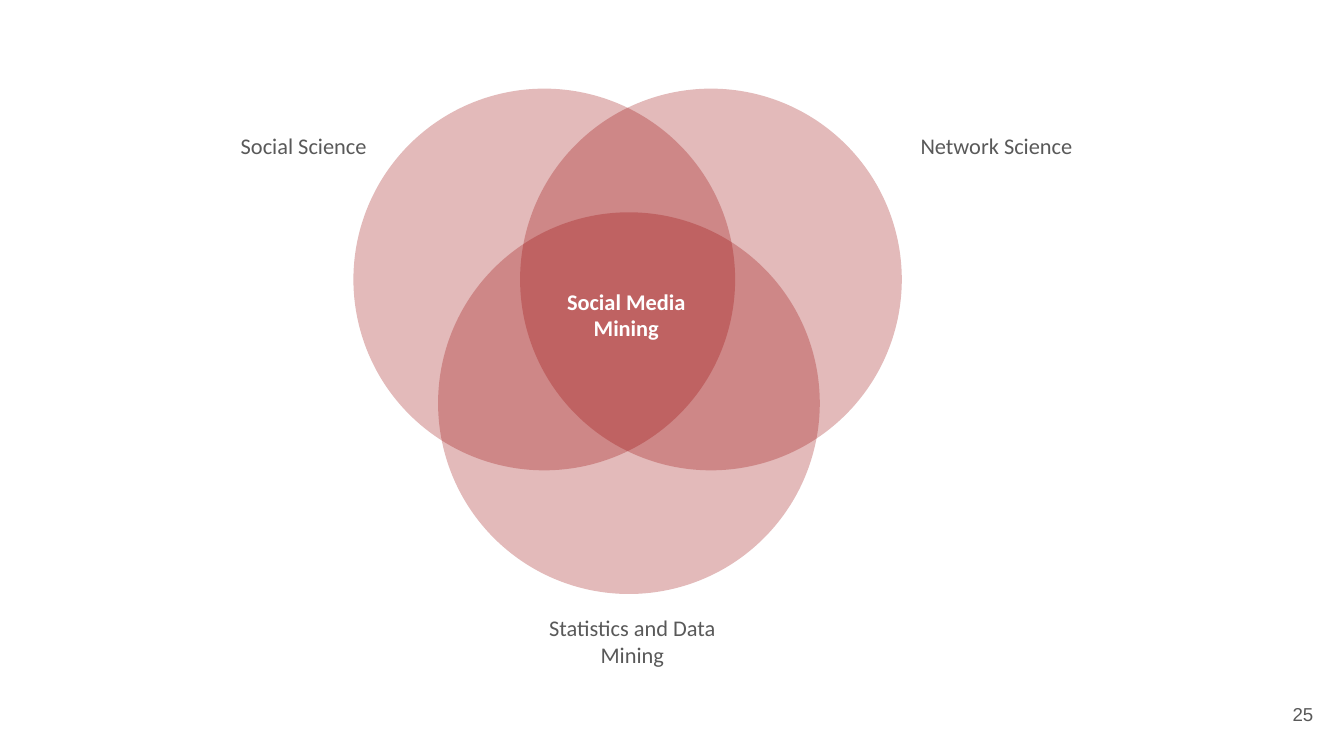
import pptx
import pptx.util
from lxml import etree
from pptx.dml.color import RGBColor
from pptx.enum.shapes import MSO_SHAPE
from pptx.enum.text import MSO_ANCHOR, PP_ALIGN
from pptx.oxml.ns import qn
from pptx.util import Inches

COLORS = {"circle": "980000", "label": "595959", "center": "FFFFFF"}
CIRCLE_SIZE = 2.84
CIRCLE_OPACITY = 27  # percent

deck = pptx.Presentation()
deck.slide_width = Inches(10)
deck.slide_height = Inches(10) * 9 // 16
page = deck.slides.add_slide(deck.slide_layouts[6])


def add_label(text, left, top, width, height, color="label", size=12,
              font="Calibri", bold=False, align=PP_ALIGN.CENTER):
    box = page.shapes.add_textbox(
        Inches(left), Inches(top), Inches(width), Inches(height))
    frame = box.text_frame
    frame.word_wrap = True
    frame.vertical_anchor = MSO_ANCHOR.MIDDLE
    frame.margin_left = frame.margin_right = Inches(0.1)
    frame.margin_top = frame.margin_bottom = Inches(0.1)
    para = frame.paragraphs[0]
    para.text = text
    para.alignment = align
    para.font.name = font
    para.font.size = pptx.util.Pt(size)
    para.font.bold = bold
    para.font.color.rgb = RGBColor.from_string(COLORS[color])


# Three overlapping translucent circles
for left, top in [(2.63, 0.66), (3.87, 0.66), (3.26, 1.58)]:
    circle = page.shapes.add_shape(
        MSO_SHAPE.OVAL, Inches(left), Inches(top),
        Inches(CIRCLE_SIZE), Inches(CIRCLE_SIZE))
    circle.shadow.inherit = False
    circle.line.fill.background()
    circle.fill.solid()
    circle.fill.fore_color.rgb = RGBColor.from_string(COLORS["circle"])
    fill_color = circle.element.spPr.find(".//" + qn("a:srgbClr"))
    etree.SubElement(fill_color, qn("a:alpha"), val=str(CIRCLE_OPACITY * 1000))

# Field names, shared center and page number
add_label("Social Science", 1.62, 0.9, 1.28, 0.36)
add_label("Network Science", 6.46, 0.9, 1.91, 0.36)
add_label("Statistics and Data Mining", 3.95, 4.59, 1.51, 0.36)
add_label("Social Media Mining", 4.02, 2.1, 1.28, 0.48, color="center", bold=True)
add_label("25", 9.27, 5.1, 0.6, 0.43, size=10, font="Arial", align=PP_ALIGN.RIGHT)

deck.save("out.pptx")
